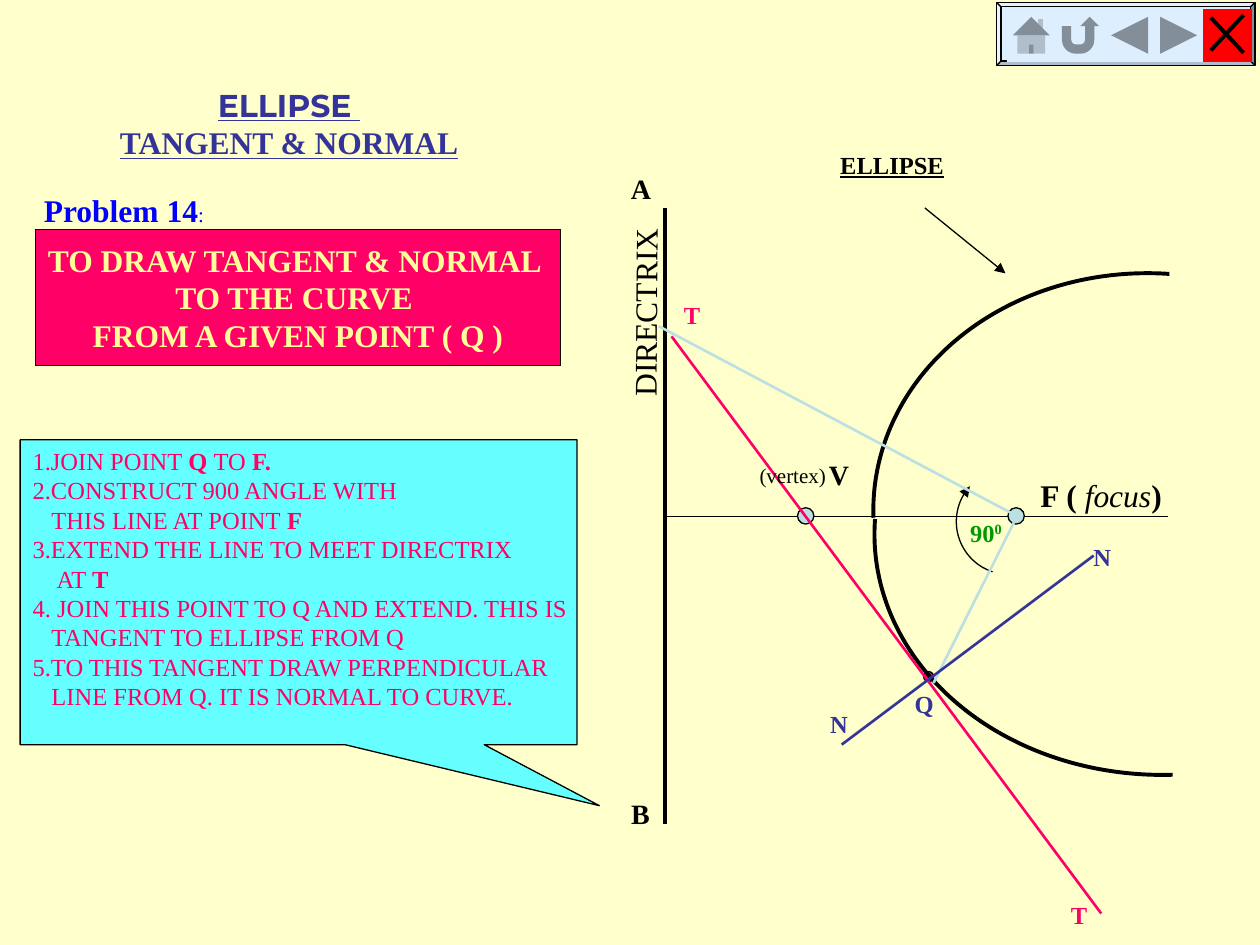
import pptx
import pptx.util
import pptx.dml.color
import pptx.enum.shapes
import pptx.enum.text
import pptx.oxml
import pptx.oxml.ns

Inches = pptx.util.Inches
Pt = pptx.util.Pt
SHAPES = pptx.enum.shapes.MSO_SHAPE
ALIGN = pptx.enum.text.PP_ALIGN
ANCHOR = pptx.enum.text.MSO_ANCHOR

THEME = {
    "font": "Times New Roman", "title_font": "Montserrat",
    "background": "FFFFCC", "black": "000000", "navy": "333399",
    "pink": "FF0066", "pale_blue": "BBE0E3", "blue": "0000FF",
    "green": "009900", "cream": "FFFF99", "cyan": "66FFFF",
    "button": "DDEEFF", "red": "FF0000",
    "large": 18, "medium": 16, "body": 14, "small": 12,
    "thin": 0.75, "line": 1.5, "thick": 2.25,
}

TITLE = [("ELLIPSE ", "title_font"), ("TANGENT & NORMAL", "font")]
TASK = ["TO DRAW TANGENT & NORMAL ", "TO THE CURVE ", "FROM A GIVEN POINT ( Q )"]
STEPS = [
    (0, [("1.JOIN POINT ", ""), ("Q ", "b"), ("TO ", ""), ("F.", "b")]),
    (0, [("2.CONSTRUCT 900 ANGLE WITH", "")]),
    (0.15, [("THIS LINE AT POINT", ""), (" F", "b")]),
    (0, [("3.EXTEND THE LINE TO MEET DIRECTRIX", "")]),
    (0.19, [("AT ", ""), ("T", "b")]),
    (0, [("4. JOIN THIS POINT TO Q AND EXTEND. THIS IS", "")]),
    (0.15, [("TANGENT TO ELLIPSE FROM Q", "")]),
    (0, [("5.TO THIS TANGENT DRAW PERPENDICULAR", "")]),
    (0.15, [("LINE FROM Q. IT IS NORMAL TO CURVE.", "")]),
]
LABELS = [
    ((8.16, 3.73, 1.17, 0.4), [("F ( ", "b"), ("focus", "i"), (")", "b")], "large", "black", 0),
    ((4.35, 2.28, 1.53, 0.4), [("DIRECTRIX", "")], "large", "black", 270.3),
    ((6.48, 3.58, 0.36, 0.37), [("V", "b")], "medium", "black", 0),
    ((6.57, 1.14, 2.44, 0.34), [("ELLIPSE", "bu")], "body", "black", 0),
    ((5.93, 3.62, 0.73, 0.3), [("(vertex)", "")], "small", "black", 0),
    ((4.91, 1.31, 0.36, 0.37), [("A", "b")], "medium", "black", 0),
    ((4.91, 6.27, 0.35, 0.37), [("B", "b")], "medium", "black", 0),
    ((5.33, 2.33, 0.33, 0.34), [("T", "b")], "body", "pink", 0),
    ((8.4, 7.09, 0.33, 0.34), [("T", "b")], "body", "pink", 0),
    ((6.49, 5.58, 0.34, 0.34), [("N", "b")], "body", "navy", 0),
    ((8.58, 4.25, 0.34, 0.34), [("N", "b")], "body", "navy", 0),
    ((7.16, 5.42, 0.35, 0.34), [("Q", "b")], "body", "navy", 0),
    ((7.6, 4.06, 0.45, 0.34), [("90", "b"), ("0", "b^")], "body", "green", 0),
    ((0.25, 1.47, 1.47, 0.4), [("Problem 14", "b"), (":", "s")], "large", "blue", 0),
]
AXIS_AND_POINTER = [
    ((5.28, 4.1), (9.27, 4.1), "black", "thin", False),
    ((5.28, 1.65), (5.28, 6.54), "black", "thick", False),
    ((7.34, 1.65), (7.98, 2.17), "black", "thin", True),
]
CONSTRUCTION = [
    ((7.41, 5.42), (8.08, 4.08), "pale_blue", "line", False),
    ((8.06, 4.09), (5.23, 2.59), "pale_blue", "line", False),
    ((5.33, 2.67), (8.74, 7.25), "pink", "line", False),
    ((6.68, 5.91), (8.68, 4.41), "navy", "line", False),
]
CLOSE_CROSS = [
    ((9.61, 0.14), (9.87, 0.42), "black", "thick", False),
    ((9.87, 0.12), (9.61, 0.4), "black", "thick", False),
]
POINTS = [(6.33, 4.03, 0.13, "pale_blue"), (8, 4.03, 0.13, "pale_blue"), (7.33, 5.33, 0.08, "pink")]
ARCS = [
    ((9.15, 4.09), (2.22, 1.92), (175.6, 270), 3.9, "thick", False),
    ((9.25, 4.22), (2.31, 1.93), (90, 184.2), -1.7, "thick", False),
    ((8.01, 4.14), (0.42, 0.42), (108.4, 222), 0, "thin", True),
]
BUTTONS = [
    (SHAPES.ACTION_BUTTON_HOME, "button"),
    (SHAPES.ACTION_BUTTON_RETURN, "button"),
    (SHAPES.ACTION_BUTTON_BACK_OR_PREVIOUS, "button"),
    (SHAPES.ACTION_BUTTON_FORWARD_OR_NEXT, "button"),
    (SHAPES.ACTION_BUTTON_CUSTOM, "red"),
]
BUTTON_LEFT, BUTTON_TOP, BUTTON_PITCH = 7.99, 0.07, 0.39


def color(name):
    return pptx.dml.color.RGBColor.from_string(THEME[name])


def set_line(line, name, width):
    line.color.rgb = color(name)
    line.width = Pt(THEME[width])


def add_arrowhead(line):
    line._get_or_add_ln().append(pptx.oxml.parse_xml(
        '<a:tailEnd %s type="triangle"/>' % pptx.oxml.ns.nsdecls("a")))


def add_shape(slide, kind, box, fill=None, outline="black", width="thin"):
    shape = slide.shapes.add_shape(kind, *map(Inches, box))
    shape.shadow.inherit = False
    if fill:
        shape.fill.solid()
        shape.fill.fore_color.rgb = color(fill)
    else:
        shape.fill.background()
    if outline:
        set_line(shape.line, outline, width)
    else:
        shape.line.fill.background()
    return shape


def add_lines(slide, lines):
    for start, end, name, width, arrow in lines:
        connector = slide.shapes.add_connector(
            pptx.enum.shapes.MSO_CONNECTOR.STRAIGHT, *map(Inches, start + end))
        set_line(connector.line, name, width)
        if arrow:
            add_arrowhead(connector.line)
        connector._element.spPr.append(pptx.oxml.parse_xml(
            "<a:effectLst %s/>" % pptx.oxml.ns.nsdecls("a")))


def set_frame(frame, anchor=ANCHOR.TOP, wrap=False, right=0.1):
    frame.word_wrap = wrap
    frame.vertical_anchor = anchor
    frame.margin_left, frame.margin_right = Inches(0.1), Inches(right)
    frame.margin_top = frame.margin_bottom = Inches(0.05)


def write(frame, paragraphs, size, name, align=ALIGN.LEFT):
    for index, (indent, runs) in enumerate(paragraphs):
        paragraph = frame.add_paragraph() if index else frame.paragraphs[0]
        paragraph.alignment = align
        if indent:
            paragraph._p.get_or_add_pPr().set("marL", str(Inches(indent)))
        paragraph.font.name = THEME["font"]
        paragraph.font.size = Pt(THEME[size])
        paragraph.font.color.rgb = color(name)
        for text, style in runs:
            run = paragraph.add_run()
            run.text = text
            run.font.bold = "b" in style
            if "i" in style:
                run.font.italic = True
            if "u" in style:
                run.font.underline = True
            if "s" in style:
                run.font.size = Pt(THEME["small"])
            if "^" in style:
                run._r.get_or_add_rPr().set("baseline", "30000")


def main():
    presentation = pptx.Presentation()
    presentation.slide_width, presentation.slide_height = Inches(10), Inches(7.5)
    slide = presentation.slides.add_slide(presentation.slide_layouts[5])
    slide.background.fill.solid()
    slide.background.fill.fore_color.rgb = color("background")

    title = slide.shapes.title
    title.left, title.top, title.width, title.height = map(Inches, (0.84, 0.63, 2.91, 0.7))
    set_frame(title.text_frame)
    title.text_frame.auto_size = pptx.enum.text.MSO_AUTO_SIZE.NONE
    write(title.text_frame, [(0, [(text, "bu")]) for text, font in TITLE], "large", "navy", ALIGN.CENTER)
    for paragraph, (text, font) in zip(title.text_frame.paragraphs, TITLE):
        paragraph.font.name = THEME[font]

    add_lines(slide, AXIS_AND_POINTER)
    for left, top, size, fill in POINTS:
        add_shape(slide, SHAPES.OVAL, (left, top, size, size), fill)
    for (x, y), (rx, ry), angles, rotation, width, arrow in ARCS:
        arc = add_shape(slide, SHAPES.ARC, (x - rx, y - ry, 2 * rx, 2 * ry), width=width)
        arc.rotation = rotation
        for index, angle in enumerate(angles):
            arc.adjustments[index] = angle * 0.6
        if arrow:
            add_arrowhead(arc.line)
    add_lines(slide, CONSTRUCTION)

    task = add_shape(slide, SHAPES.RECTANGLE, (0.28, 1.82, 4.17, 1.08), "pink")
    set_frame(task.text_frame, ANCHOR.MIDDLE, True)
    write(task.text_frame, [(0, [(text, "b")]) for text in TASK], "large", "cream", ALIGN.CENTER)

    callout = add_shape(slide, SHAPES.RECTANGULAR_CALLOUT, (0.16, 3.49, 4.42, 2.42), "cyan")
    callout.adjustments[0], callout.adjustments[1] = 0.54, 0.7
    set_frame(callout.text_frame, wrap=True, right=0)
    write(callout.text_frame, STEPS, "body", "pink")

    for box, runs, size, name, rotation in LABELS:
        label = slide.shapes.add_textbox(*map(Inches, box))
        label.rotation = rotation
        set_frame(label.text_frame)
        label.text_frame.auto_size = pptx.enum.text.MSO_AUTO_SIZE.SHAPE_TO_FIT_TEXT
        write(label.text_frame, [(0, runs)], size, name)
        label.text_frame.word_wrap = box[2] > 2

    panel = add_shape(slide, SHAPES.BEVEL, (7.91, 0.02, 2.05, 0.5), "button")
    panel.adjustments[0] = 0.07
    for index, (kind, fill) in enumerate(BUTTONS):
        left = BUTTON_LEFT + index * BUTTON_PITCH
        add_shape(slide, kind, (left, BUTTON_TOP, BUTTON_PITCH, 0.42), fill, None)
    add_lines(slide, CLOSE_CROSS)
    presentation.save("out.pptx")


if __name__ == "__main__":
    main()
